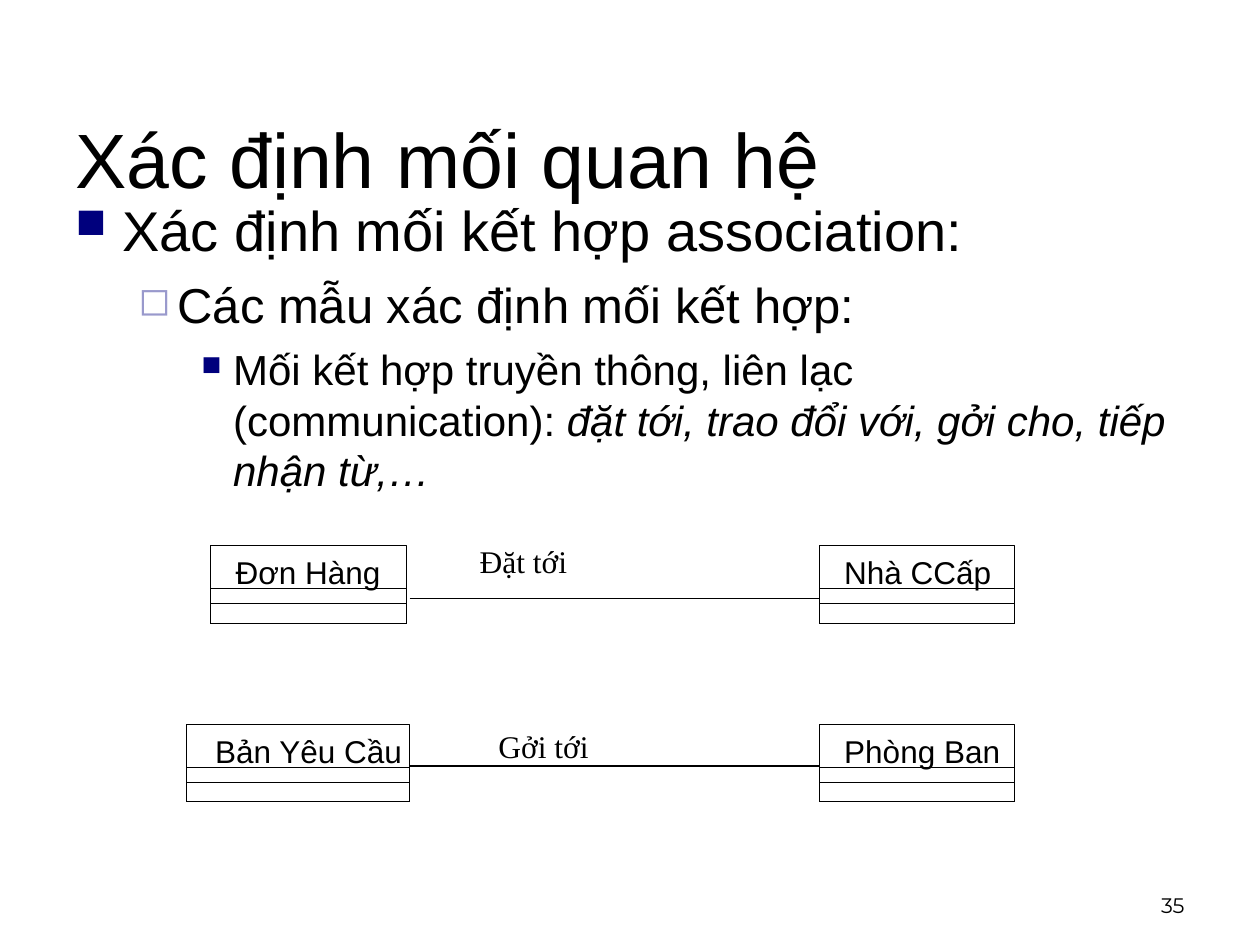
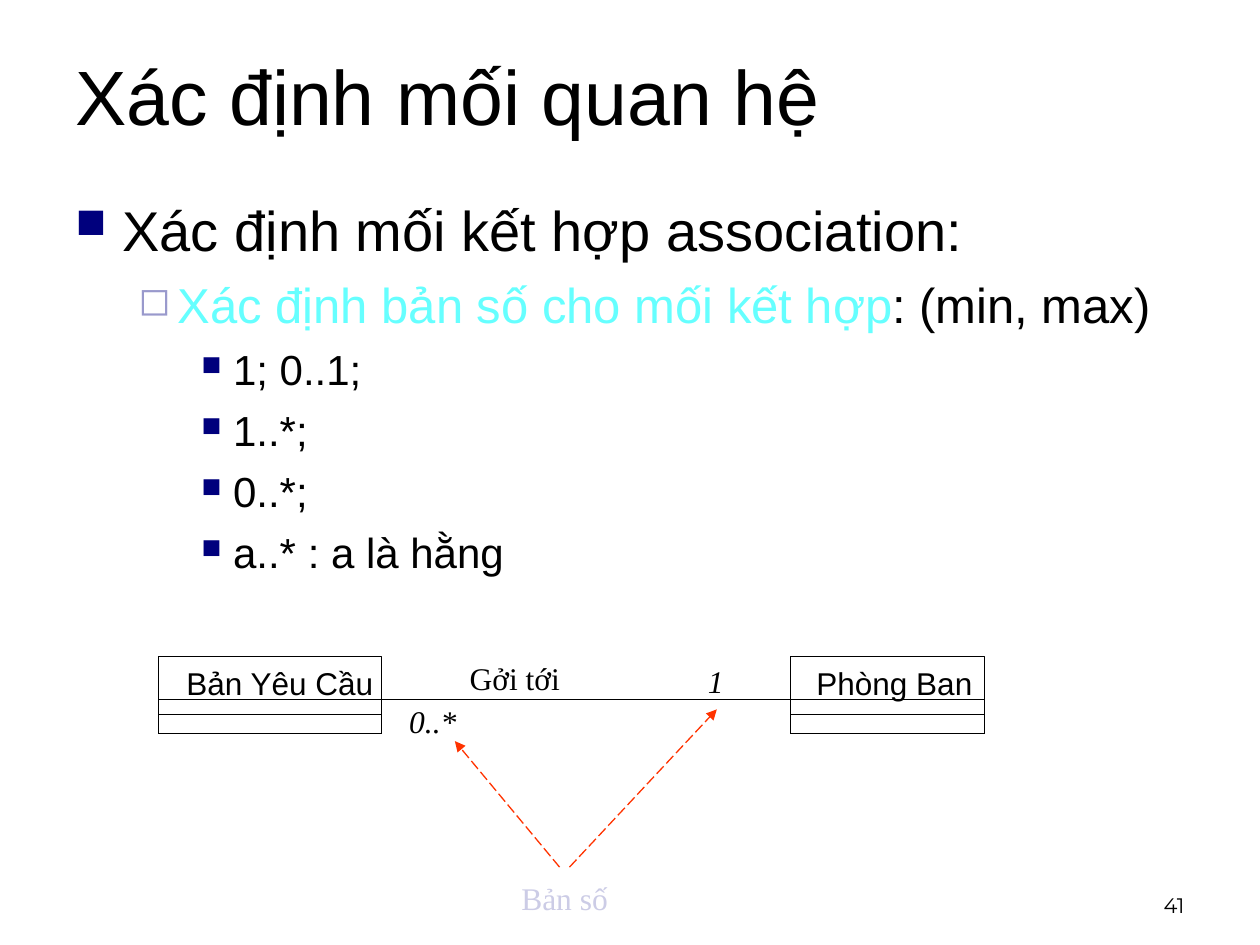
from dataclasses import dataclass

from lxml.etree import SubElement as Sub
from pptx import Presentation
from pptx.dml.color import RGBColor as RGB
from pptx.enum.dml import MSO_LINE as Dash
from pptx.enum.shapes import MSO_CONNECTOR as Conn, MSO_SHAPE as Shape
from pptx.enum.text import MSO_ANCHOR as Anchor, PP_ALIGN as Align
from pptx.oxml.ns import qn
from pptx.util import Cm, Pt


@dataclass(frozen=True)
class Theme:
    ink: str = "000000"
    cyan: str = "66FFFF"
    pale: str = "CCCCE6"
    red: str = "FF3300"
    sans: str = "Arial"
    serif: str = "Times New Roman"
    foot: str = "Montserrat"
    title: int = 44
    label: int = 18
    number: int = 12
    hair: float = 0.2
    line: float = 0.75


T = Theme()

# Outline levels: indent (cm), hang (cm), space before, size, bullet, colour, bullet %
LEVELS = [
    (0.95, 0.95, 8, 32, "■", "00007D", 75),
    (2.06, 0.79, 7, 28, "◻", "9999CC", 80),
    (3.18, 0.64, 6, 24, "■", "00007D", 65),
]

# Content; all places are in cm
TITLE = "Xác định mối quan hệ"
HEAD = (0, [("Xác định mối kết hợp association:", {})])
PLAIN, SLANT = {}, {"italic": True}

SLIDES = [
    {
        "number": 35,
        "top": 1.27,
        "points": [
            HEAD,
            (1, [("Các mẫu xác định mối kết hợp:", PLAIN)]),
            (2, [("Mối kết hợp truyền thông, liên lạc (communication): ", PLAIN),
                 ("đặt tới, trao đổi với, gởi cho, tiếp nhận từ,…", SLANT)]),
        ],
        # name, left, top, width, name inset
        "classes": [
            ("Đơn Hàng", 4.24, 11, 3.94, 0.51),
            ("Nhà CCấp", 16.51, 11, 3.94, 0.51),
            ("Bản Yêu Cầu", 3.76, 14.6, 4.5, 0.58),
            ("Phòng Ban", 16.51, 14.6, 3.94, 0.51),
        ],
        # left, right, height on the slide
        "links": [(8.26, 16.51, 12.07), (8.26, 16.51, 15.44)],
        # text, left, top, width, style
        "labels": [
            ("Đặt tới", 9.42, 10.8, 2.51, PLAIN),
            ("Gởi tới", 9.8, 14.53, 2.51, PLAIN),
        ],
        "arrows": [],
    },
    {
        "number": 41,
        "top": 0,
        "points": [
            HEAD,
            (1, [("Xác định bản số cho mối kết hợp", {"color": T.cyan}),
                 (": (min, max)", PLAIN)]),
            *[(2, [(rule, PLAIN)])
              for rule in ("1; 0..1;", "1..*;", "0..*;", "a..* : a là hằng")],
        ],
        "classes": [
            ("Bản Yêu Cầu", 3.18, 13.23, 4.5, 0.58),
            ("Phòng Ban", 15.93, 13.23, 3.92, 0.53),
        ],
        "links": [(7.68, 15.93, 14.1)],
        "labels": [
            ("Gởi tới", 9.22, 13.16, 2.51, PLAIN),
            ("0..*", 8, 14.02, 1.5, SLANT),
            ("1", 14.02, 13.23, 0.86, SLANT),
            ("Bản số", 10.26, 17.6, 2.51, {"color": T.pale}),
        ],
        "arrows": [(11.28, 17.48, 9.17, 14.94), (11.48, 17.48, 14.45, 14.3)],
    },
]

# Class symbol: full height and the tops of its two lower parts
TALL, PARTS = 1.56, (0.86, 1.17)


def style(run, size, face=T.sans, color=T.ink, italic=False):
    font = run.font
    font.size, font.name, font.italic = Pt(size), face, italic
    font.color.rgb = RGB.from_string(color)


def frame(host, left, top, wide, high, pad=True):
    box = host.add_textbox(Cm(left), Cm(top), Cm(wide), Cm(high)).text_frame
    box.word_wrap = True
    if not pad:
        box.margin_left = box.margin_right = box.margin_top = box.margin_bottom = 0
    return box


def write(host, text, place, size, pad=True, **look):
    box = frame(host, *place, pad)
    box.text = text
    style(box.paragraphs[0].runs[0], size, **look)
    return box


def bullet(para, level):
    left, hang, _, _, mark, color, scale = LEVELS[level]
    props = para._p.get_or_add_pPr()
    props.set("marL", str(Cm(left)))
    props.set("indent", str(-Cm(hang)))
    tint = Sub(props, qn("a:buClr"))
    Sub(tint, qn("a:srgbClr"), val=color)
    Sub(props, qn("a:buSzPct"), val=str(scale * 1000))
    Sub(props, qn("a:buChar"), char=mark)


def outline(host, points):
    box = frame(host, 1.27, 3.81, 22.86, 10.8)
    for i, (level, parts) in enumerate(points):
        para = box.add_paragraph() if i else box.paragraphs[0]
        bullet(para, level)
        para.level = level
        if i:
            para.space_before = Pt(LEVELS[level][2])
        for text, look in parts:
            run = para.add_run()
            run.text = text
            style(run, LEVELS[level][3], **look)


def symbol(host, name, left, top, wide, inset):
    group = host.add_group_shape().shapes
    for drop in (0, *PARTS):
        rect = group.add_shape(Shape.RECTANGLE, Cm(left), Cm(top + drop),
                               Cm(wide), Cm(TALL - drop))
        rect.shadow.inherit = False
        rect.fill.background()
        rect.line.color.rgb = RGB.from_string(T.ink)
        rect.line.width = Pt(T.hair)
    write(group, name, (left + inset, top + 0.15, wide - inset, 0.76),
          T.label, pad=False)


def link(host, x1, y1, x2, y2, color=T.ink, arrow=False):
    wire = host.add_connector(Conn.STRAIGHT, Cm(x1), Cm(y1), Cm(x2), Cm(y2))
    wire.line.color.rgb = RGB.from_string(color)
    wire.line.width = Pt(T.line)
    props = wire._element.spPr
    if arrow:
        wire.line.dash_style = Dash.LONG_DASH
        Sub(props.find(qn("a:ln")), qn("a:tailEnd"), type="triangle")
    Sub(props, qn("a:effectLst"))


def build(deck, data):
    host = deck.slides.add_slide(deck.slide_layouts[6]).shapes

    # Title, outline and slide number
    head = write(host, TITLE, (1.27, data["top"], 22.86, 3.81), T.title)
    head.vertical_anchor = Anchor.MIDDLE
    outline(host, data["points"])
    foot = write(host, str(data["number"]), (18.21, 17.35, 5.92, 1.27),
                 T.number, face=T.foot)
    foot.vertical_anchor = Anchor.BOTTOM
    foot.paragraphs[0].alignment = Align.RIGHT

    # Class diagram
    for item in data["classes"]:
        symbol(host, *item)
    for left, right, y in data["links"]:
        link(host, left, y, right, y)
    for text, left, top, wide, look in data["labels"]:
        write(host, text, (left, top, wide, 1.02), T.label, face=T.serif, **look)
    for ends in data["arrows"]:
        link(host, *ends, color=T.red, arrow=True)


def main():
    deck = Presentation()
    deck.slide_width, deck.slide_height = Cm(25.4), Cm(19.05)
    for data in SLIDES:
        build(deck, data)
    deck.save("out.pptx")


if __name__ == "__main__":
    main()
